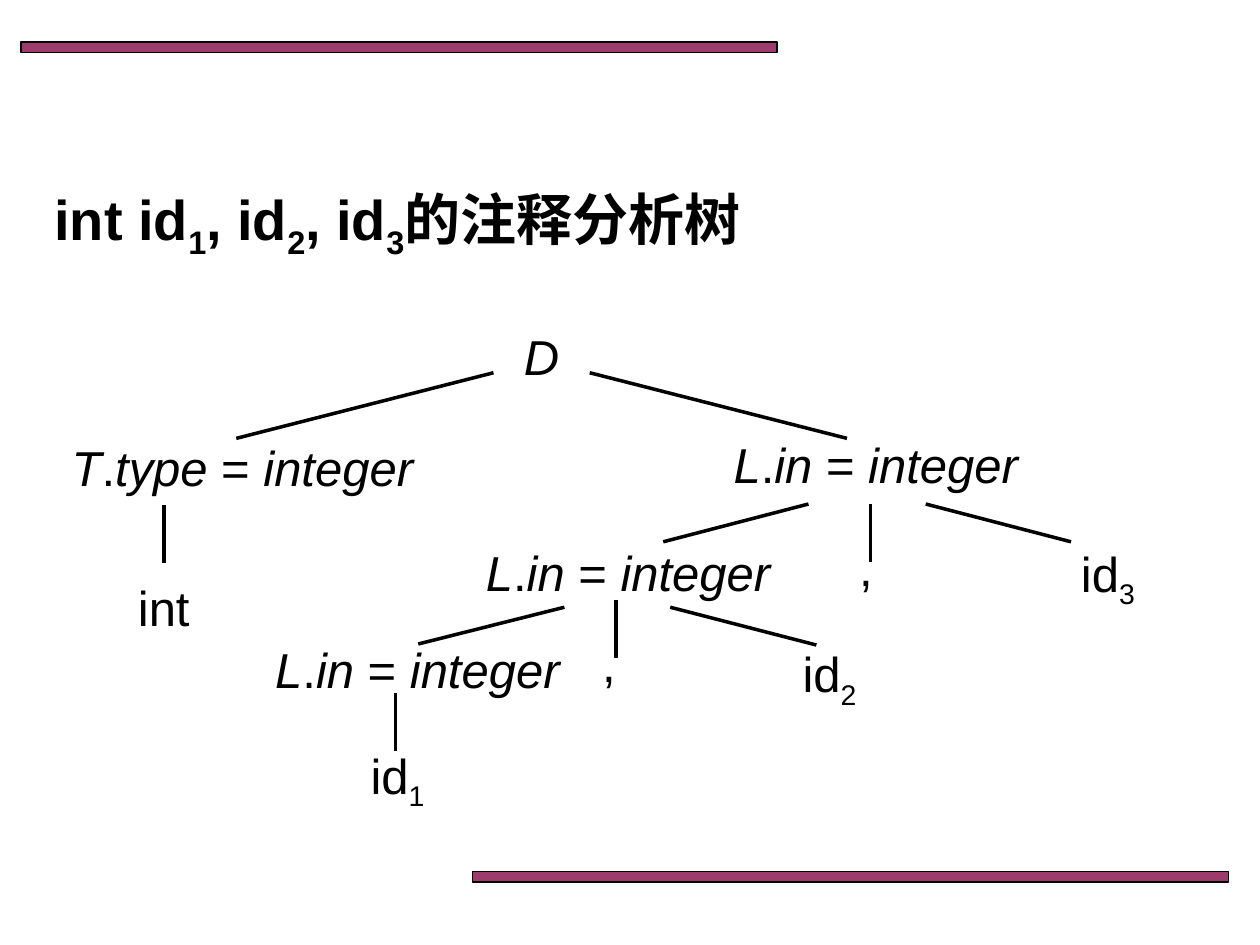
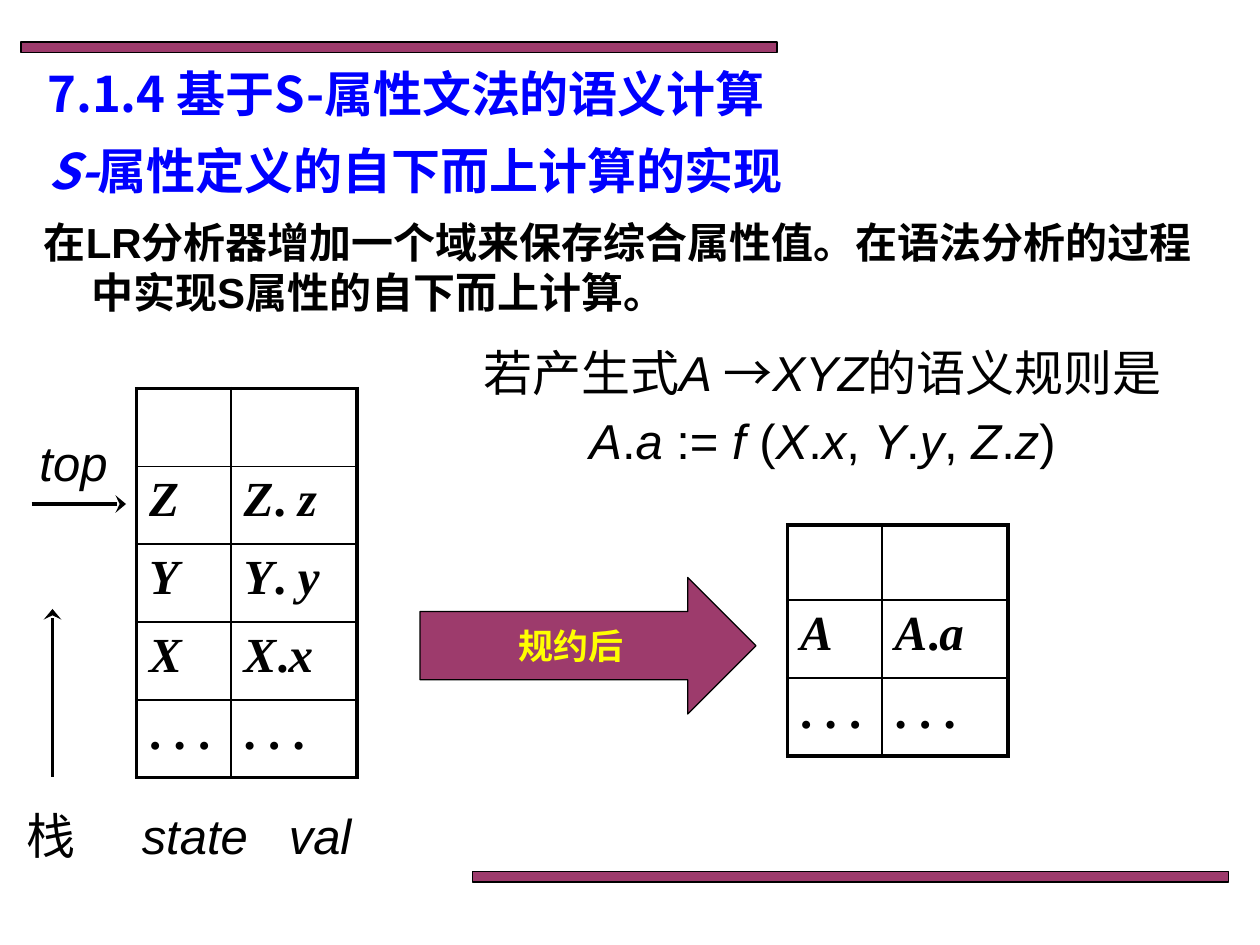
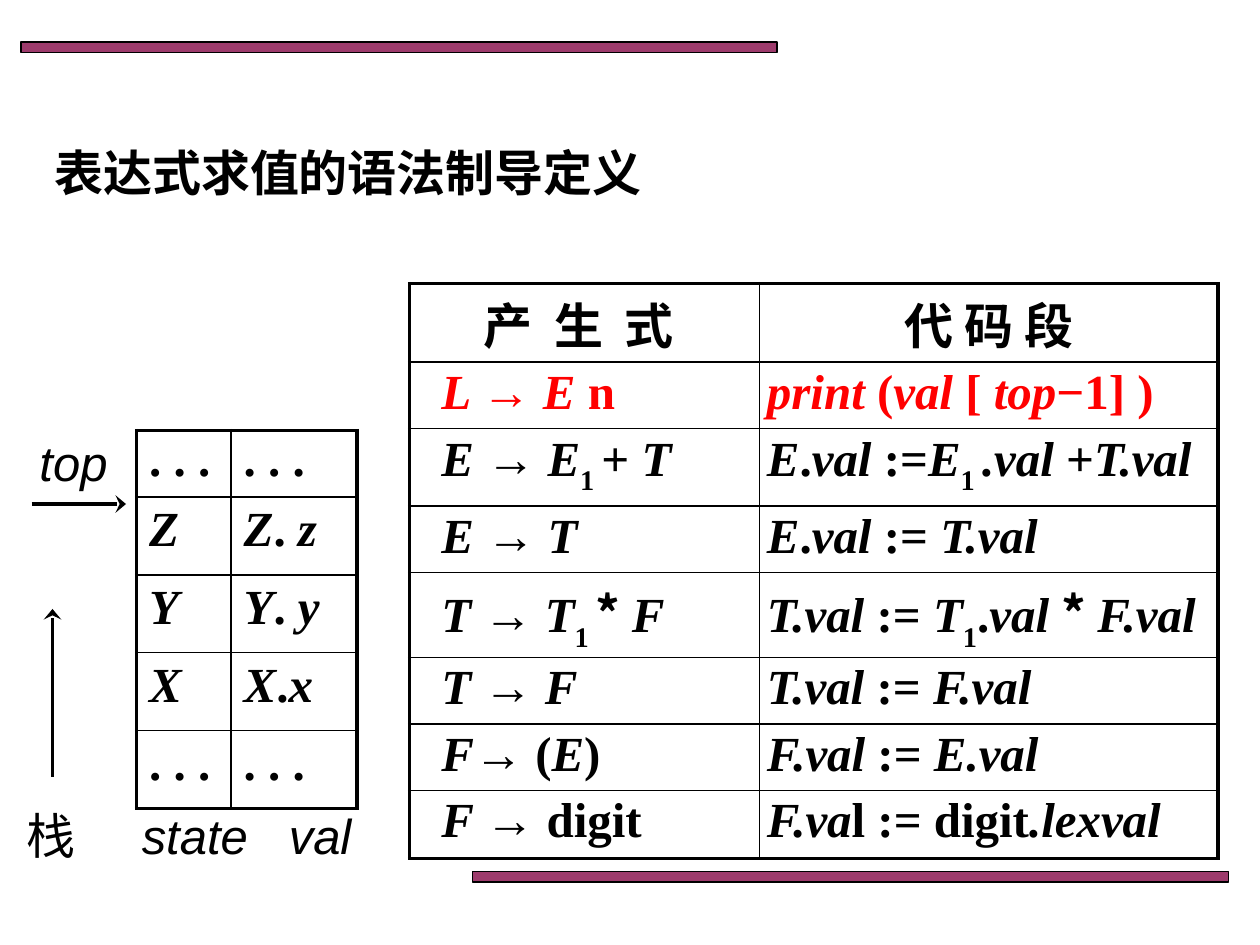
import pptx
import pptx.util
import pptx.dml.color
import pptx.enum.shapes
import pptx.enum.text
import pptx.oxml
import pptx.oxml.ns

Pt = pptx.util.Pt
ALIGN = pptx.enum.text.PP_ALIGN
ANCHOR = pptx.enum.text.MSO_ANCHOR
SHAPE = pptx.enum.shapes.MSO_SHAPE

COLORS = {"ink": "000000", "bar": "993366", "title": "0000FF",
          "label": "FFFF00", "accent": "FF0000"}
SANS, SERIF, CJK = "Arial", "Times New Roman", "Noto Sans CJK SC"

# Text markup: /italic/, _subscript_, ~CJK font~
BARS = [(12, 24, 432, 6), (270, 498, 432, 6)]

# Slide 1: parse tree
TREE_TITLE = "int id_1_, id_2_, id_3_的注释分析树"
LIST_NODE = "/L/./in /= /integer/"
NODES = [  # text, left, top, width
    ("/D/", 298, 186, 31),
    ("/T/./type /= /integer/", 39.6, 249.4, 200),
    (LIST_NODE, 417.8, 247.4, 188),
    ("int", 67.6, 329.4, 52),
    (LIST_NODE, 276.3, 309.5, 188),
    (",", 489.6, 306.7, 31),
    ("id_3_", 616.3, 309.6, 71),
    (LIST_NODE, 155.9, 364.7, 188),
    (",", 342.7, 361.4, 31),
    ("id_2_", 457.2, 367.2, 71),
    ("id_1_", 210.4, 425.2, 71),
]
EDGES = [  # x1, y1, x2, y2
    (282, 213, 135, 250.5), (337, 213, 484, 250.5),
    (93.6, 288.7, 93.6, 321.8),
    (462, 288, 379, 309.6), (497.5, 288, 497.5, 321), (529, 288, 612, 309.6),
    (322.5, 347, 239, 368), (352, 342.7, 352, 375.8), (383, 347, 466.5, 368.6),
    (226, 396, 226, 429),
]

# Slides 2 and 3: parser stack
DOTS = ". . ."
STACK = [("/Z/", "/Z/. /z/"), ("/Y/", "/Y/. /y/"), ("/X/", "/X/./x/"), (DOTS, DOTS)]
REDUCED = [("", ""), ("/A/", "/A/./a/"), (DOTS, DOTS)]
STACK_COLUMNS = [54, 72]
STACK_ROW = 44.5
POINTERS = [(18, 288, 72, 288), (30, 444, 30, 348)]

SECTION = "7.1.4 基于S-属性文法的语义计算"
TOPIC = "/S-/属性定义的自下而上计算的实现"
SUMMARY = "在LR分析器增加一个域来保存综合属性值。在语法分析的过程中实现S属性的自下而上计算。"
RULE = ["若产生式/A /~→~/XYZ/的语义规则是",
        "/A/./a/ := /f /(/X/./x/, /Y/./y/, /Z/./z/)"]

# Slide 3: translation scheme
SCHEME_TITLE = "表达式求值的语法制导定义"
SCHEME_HEADER = ("产 生 式", "代 码 段")
SCHEME = [
    ("/L /→ /E /n", "/print /(/val/ [ /top/−1] )"),
    ("/E /→ /E/_1 _+ /T/", "/E/./val /:=/E/_1 _/.val/ +/T.val/"),
    ("/E /→ /T/", "/E/./val/ := /T.val/"),
    ("/T /→ /T/_1 _~* ~/F/", "/T.val/ := /T/_1_./val /~* ~/F.val/"),
    ("/T /→ /F/", "/T.val/ := /F.val/"),
    ("/F/→ (/E/)", "/F.val/ := /E.val/"),
    ("/F /→ digit", "/F.va/l := digit/.lexval/"),
]
SCHEME_COLUMNS = [200, 262]
SCHEME_ROWS = [45, 35.5, 41.7, 36.6, 48.6, 37, 36.6, 39]


def rgb(name):
    return pptx.dml.color.RGBColor.from_string(COLORS[name])


def add_xml(parent, tag, **attributes):
    child = pptx.oxml.parse_xml(f'<a:{tag} {pptx.oxml.ns.nsdecls("a")}/>')
    for key, value in attributes.items():
        child.set(key, str(value))
    parent.append(child)
    return child


def add_markup(para, text, size=28, font=SANS, color="ink", bold=False,
               subscript=-25, tracking=0):
    """Append marked-up text to a paragraph as formatted runs."""
    active = dict.fromkeys("/_~", False)
    piece = ""
    for mark in text + "\n":
        if mark not in active and mark != "\n":
            piece += mark
            continue
        if piece:
            span = para.add_run()
            span.text = piece
            span.font.size = Pt(size)
            span.font.bold = bold
            span.font.italic = active["/"]
            span.font.color.rgb = rgb(color)
            span.font.name = CJK if active["~"] else font
            properties = span.font._element
            add_xml(properties, "ea", typeface=CJK)
            if active["_"]:
                properties.set("baseline", str(subscript * 1000))
            if tracking:
                properties.set("spc", str(tracking * 100))
            piece = ""
        if mark in active:
            active[mark] = not active[mark]


def write(frame, text, align=ALIGN.LEFT, anchor=ANCHOR.TOP, insets=None,
          spacing=None, gap=0, hanging=0, tabs=(), **font):
    """Fill a text frame; a list gives one paragraph per item."""
    frame.word_wrap = True
    frame.vertical_anchor = anchor
    if insets:
        (frame.margin_left, frame.margin_top,
         frame.margin_right, frame.margin_bottom) = map(Pt, insets)
    for index, line in enumerate([text] if isinstance(text, str) else text):
        para = frame.add_paragraph() if index else frame.paragraphs[0]
        para.alignment = align
        if spacing:
            para.line_spacing = spacing
        if index:
            para.space_before = Pt(gap)
        properties = para._p.get_or_add_pPr()
        if hanging:
            properties.set("marL", str(Pt(hanging)))
            properties.set("indent", str(-Pt(hanging)))
        if tabs:
            stops = add_xml(properties, "tabLst")
            for stop in tabs:
                add_xml(stops, "tab", pos=Pt(stop), algn="l")
        add_markup(para, line, **font)


def add_text(page, text, place, **style):
    box = page.shapes.add_textbox(*map(Pt, place))
    write(box.text_frame, text, **style)


def add_block(page, kind, place):
    block = page.shapes.add_shape(kind, *map(Pt, place))
    block.shadow.inherit = False
    block.fill.solid()
    block.fill.fore_color.rgb = rgb("bar")
    add_xml(block.fill._xPr.find(".//" + pptx.oxml.ns.qn("a:srgbClr")), "alpha", val=96000)
    block.line.color.rgb = rgb("ink")
    block.line.width = Pt(0.75)
    return block


def add_line(page, ends, arrow=False):
    line = page.shapes.add_connector(pptx.enum.shapes.MSO_CONNECTOR.STRAIGHT, *map(Pt, ends))
    line.line.color.rgb = rgb("ink")
    line.line.width = Pt(2)
    if arrow:
        add_xml(line.line._get_or_add_ln(), "tailEnd", type="stealth", w="lg", len="med")
    add_xml(line._element.spPr, "effectLst")


def set_borders(cell, thick_sides):
    properties = cell._tc.get_or_add_tcPr()
    for side in "LRTB":
        width = 2.25 if side in thick_sides else 1
        border = add_xml(properties, "ln" + side, w=Pt(width))
        add_xml(add_xml(border, "solidFill"), "srgbClr", val=COLORS["ink"])


def add_grid(page, left, top, columns, rows, content, style_for):
    """Draw a table with a thick frame and thin inner rules."""
    frame = page.shapes.add_table(len(rows), len(columns), Pt(left), Pt(top),
                                  Pt(sum(columns)), Pt(sum(rows)))
    table = frame.table
    table.first_row = table.horz_banding = False
    for column, width in zip(table.columns, columns):
        column.width = Pt(width)
    for r, height in enumerate(rows):
        table.rows[r].height = Pt(height)
        for c, text in enumerate(content[r]):
            cell = table.cell(r, c)
            thick = {"L": c == 0, "R": c == len(columns) - 1,
                     "T": r == 0, "B": r == len(rows) - 1}
            set_borders(cell, [side for side in thick if thick[side]])
            cell.fill.background()
            style = dict(font=SERIF, bold=True, subscript=-30) | style_for(r, c)
            (cell.margin_left, cell.margin_top,
             cell.margin_right, cell.margin_bottom) = map(Pt, style.pop("margins"))
            para = cell.text_frame.paragraphs[0]
            para.alignment = style.pop("align", ALIGN.LEFT)
            add_markup(para, text, **style)


def stack_style(row, column):
    return {"margins": (7.2, 3.6, 7.2, 3.6) if row else (7.2, 1.5, 7.2, 1.5)}


def scheme_style(row, column):
    left, right = (4.3, 4.3)
    if column == 0:
        left, right = (18.3, 4.3) if row else (4.3, 11)
    style = {"margins": (left, 2.2, right, 2.2)}
    if row == 0:
        style |= dict(font=CJK, align=ALIGN.CENTER, tracking=0 if column else 3)
    if row == 1:
        style["color"] = "accent"
    return style


def add_stack(page, top, first_row, first_height):
    rows = [first_height] + [STACK_ROW] * len(STACK)
    add_grid(page, 78, top, STACK_COLUMNS, rows, [first_row] + STACK, stack_style)
    add_text(page, "栈\t/state\tval/", (6, 456, 204, 42), anchor=ANCHOR.MIDDLE,
             insets=(9, 3.6, 0, 3.6), tabs=(66, 150))
    add_text(page, "/top/", (18, 246, 48, 36), align=ALIGN.CENTER,
             anchor=ANCHOR.MIDDLE, insets=(0, 0, 0, 0))
    for ends in POINTERS:
        add_line(page, ends, arrow=True)


def new_page(deck):
    page = deck.slides.add_slide(deck.slide_layouts[6])
    for place in BARS:
        add_block(page, SHAPE.RECTANGLE, place)
    return page


def build_tree(page):
    add_text(page, TREE_TITLE, (24, 102.5, 678, 414), size=32, bold=True,
             spacing=0.9, hanging=27)
    for text, left, top, width in NODES:
        add_text(page, text, (left, top, width, 31), insets=(1.4, 0.7, 1.4, 0.7),
                 align=ALIGN.CENTER if text == "int" else ALIGN.LEFT)
    for ends in EDGES:
        add_line(page, ends)


def build_reduction(page):
    heading = dict(font=CJK, color="title", bold=True)
    add_text(page, TOPIC, (20.5, 76.5, 660, 90), **heading)
    add_text(page, SUMMARY, (18, 120, 678, 420), size=24, bold=True, hanging=27)
    add_stack(page, 222, ("", ""), STACK_ROW)
    add_text(page, RULE, (263, 192, 414, 108), align=ALIGN.CENTER,
             insets=(0, 3.6, 0, 3.6), gap=5.6)
    add_grid(page, 450, 300, STACK_COLUMNS, [43, STACK_ROW, STACK_ROW], REDUCED,
             stack_style)
    arrow = add_block(page, SHAPE.RIGHT_ARROW, (240, 330, 192, 78))
    write(arrow.text_frame, "规约后", align=ALIGN.CENTER, anchor=ANCHOR.MIDDLE,
          size=20, color="label", bold=True)
    add_text(page, SECTION, (8, 33, 448, 41), align=ALIGN.CENTER, **heading)


def build_scheme(page):
    add_text(page, SCHEME_TITLE, (24, 78, 678, 420), font=CJK, bold=True, hanging=27)
    add_stack(page, 246, (DOTS, DOTS), 38)
    add_grid(page, 234, 162, SCHEME_COLUMNS, SCHEME_ROWS, [SCHEME_HEADER] + SCHEME,
             scheme_style)


def main():
    deck = pptx.Presentation()
    deck.slide_width, deck.slide_height = Pt(720), Pt(540)
    for build in (build_tree, build_reduction, build_scheme):
        build(new_page(deck))
    deck.save("out.pptx")


if __name__ == "__main__":
    main()
